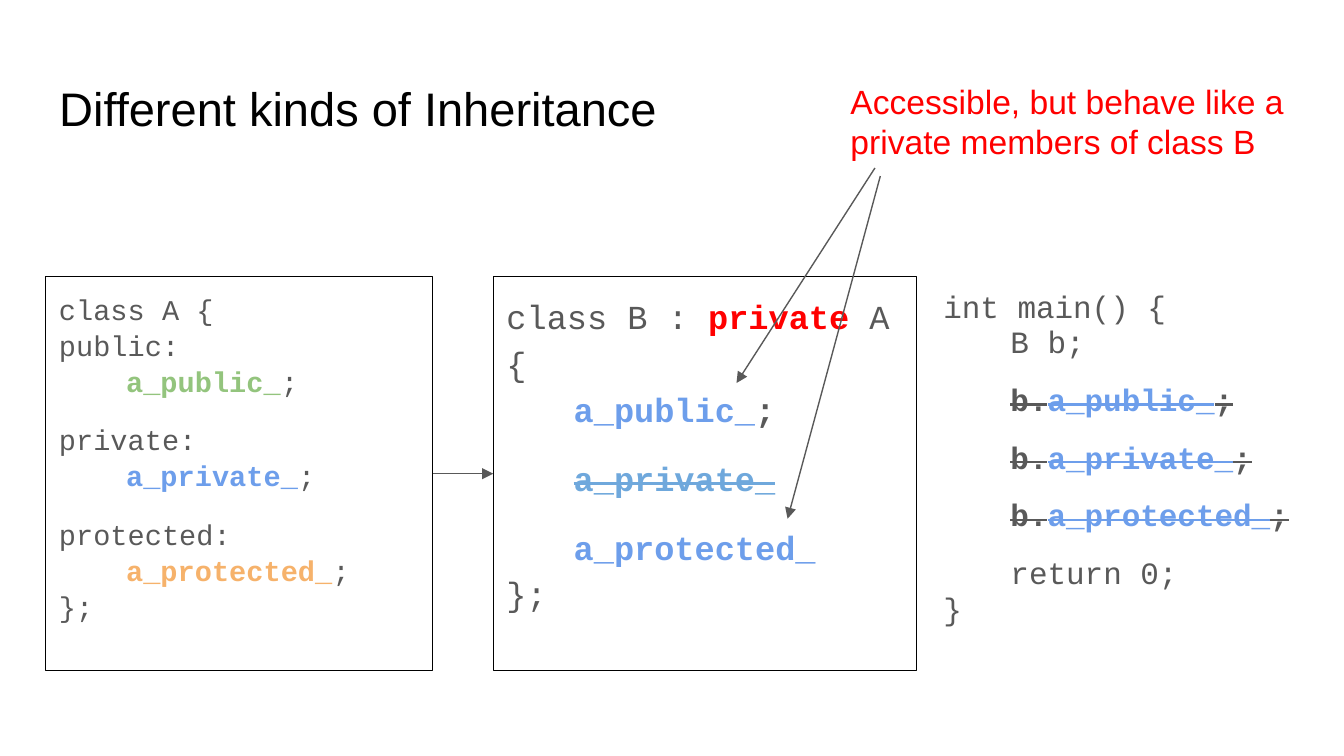
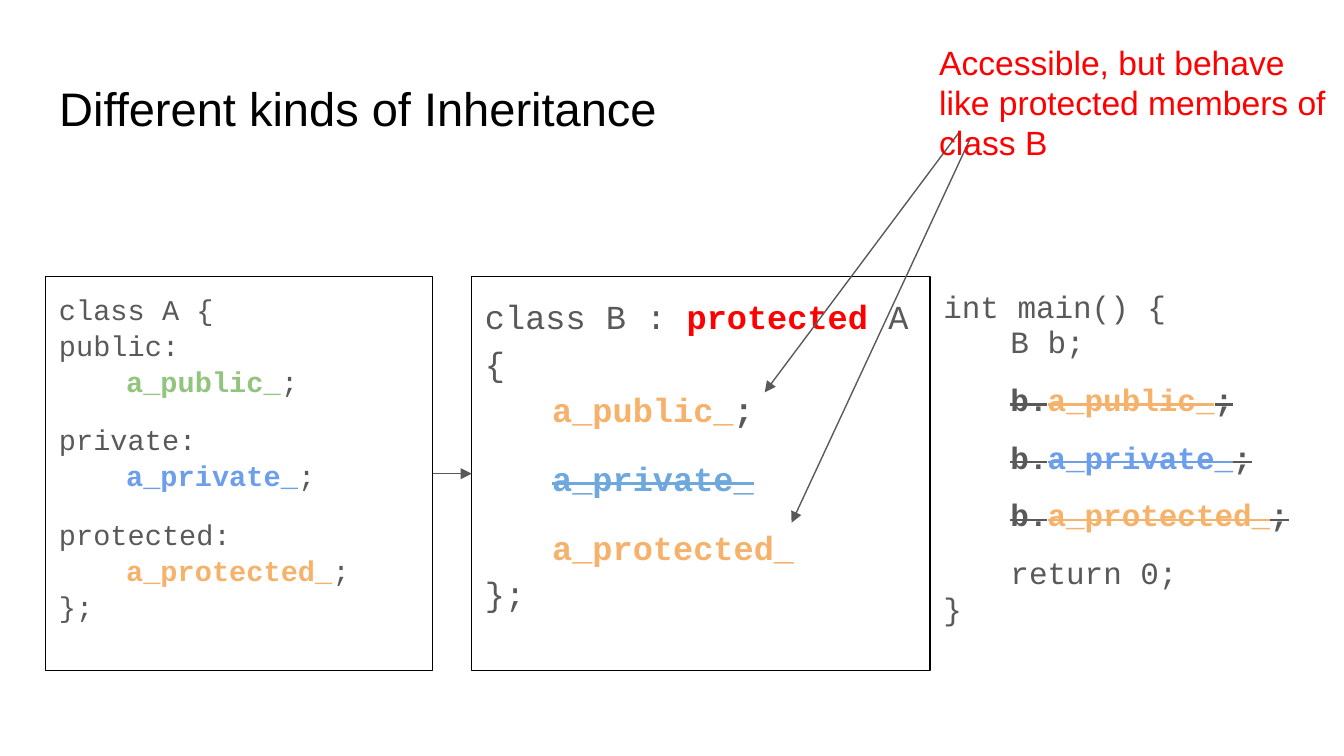
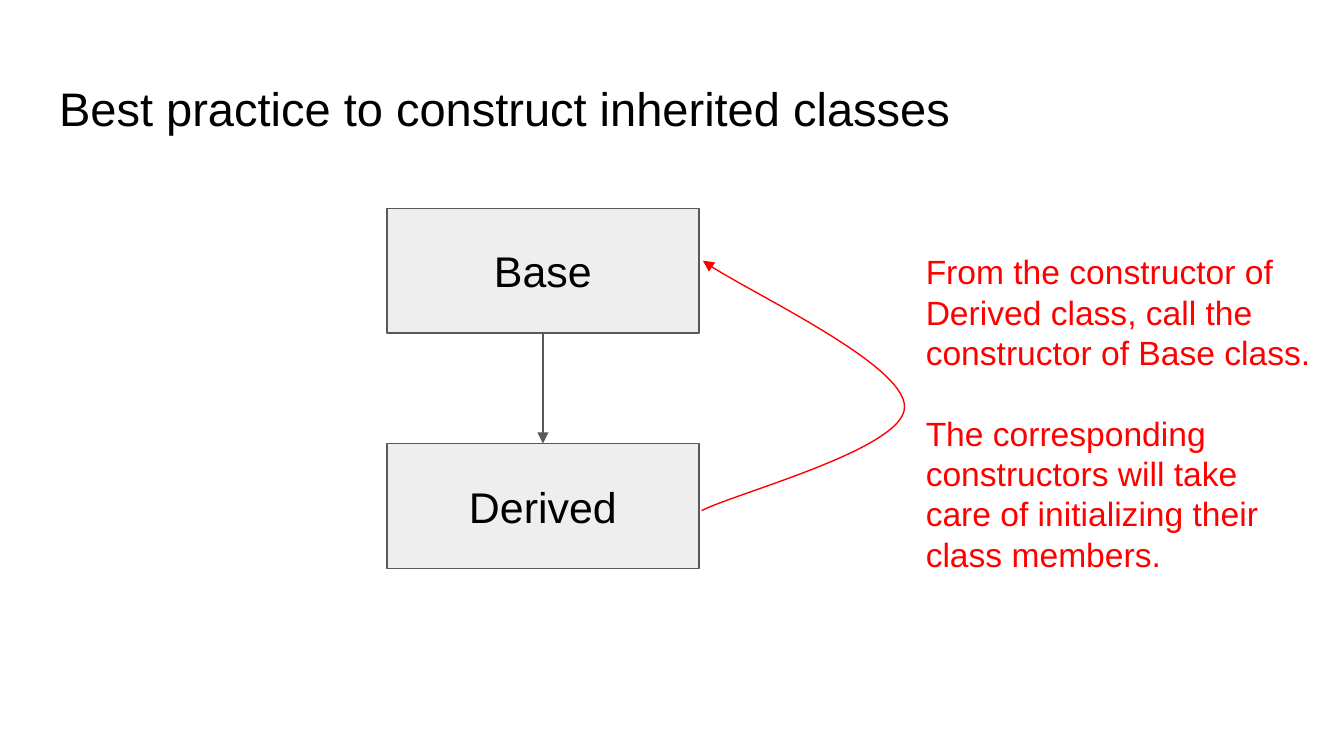
from copy import deepcopy
from dataclasses import dataclass
from typing import NamedTuple

from lxml.etree import SubElement
from pptx import Presentation
from pptx.dml.color import RGBColor
from pptx.enum.shapes import MSO_CONNECTOR, MSO_SHAPE
from pptx.enum.text import MSO_ANCHOR, MSO_AUTO_SIZE, PP_ALIGN
from pptx.oxml.ns import qn
from pptx.util import Inches, Pt

CELL = Inches(0.1)
COLUMNS, ROWS = 100, 56.25
INSET = CELL
HAIRLINE = Pt(0.75)
SANS, MONO = "Arial", "Courier New"

BLACK = RGBColor(0x00, 0x00, 0x00)
GRAY = RGBColor(0x59, 0x59, 0x59)
PALE = RGBColor(0xEE, 0xEE, 0xEE)
RED = RGBColor(0xFF, 0x00, 0x00)
GREEN = RGBColor(0x93, 0xC4, 0x7D)
BLUE = RGBColor(0x6D, 0x9E, 0xEB)
SKY = RGBColor(0x6F, 0xA8, 0xDC)
ORANGE = RGBColor(0xF6, 0xB2, 0x6B)


class Spot(NamedTuple):
    column: float
    row: float

    def emu(self) -> tuple[int, int]:
        return cells(self.column), cells(self.row)


class Area(NamedTuple):
    column: float
    row: float
    columns: float
    rows: float

    def emu(self) -> list[int]:
        return [cells(count) for count in self]


class Span(NamedTuple):
    text: str
    color: RGBColor = GRAY
    bold: bool = False
    struck: bool = False


@dataclass(frozen=True)
class Para:
    spans: list[Span]
    before: float = 0
    after: float = 0
    indent: float = 0


@dataclass(frozen=True)
class Style:
    font: str
    size: float
    spacing: float | None = None
    align: PP_ALIGN = PP_ALIGN.LEFT


@dataclass(frozen=True)
class Inheritance:
    keyword: str
    color: RGBColor
    derived: Area
    note: str
    note_area: Area
    arrows: list[tuple[Spot, Spot]]


TITLE = Style(SANS, 25.2)
NOTE = Style(SANS, 18)
NODE = Style(SANS, 23, align=PP_ALIGN.CENTER)
BASE_CODE = Style(MONO, 15.3, 1.05)
DERIVED_CODE = Style(MONO, 18, 1.15)
MAIN_CODE = Style(MONO, 16.6, 0.95)

TITLE_AREA = Area(3.4, 4.9, 93.2, 6.3)
CODE_TOP, CODE_ROWS = 20.6, 29.3
BASE_AREA = Area(3.4, CODE_TOP, 28.8, CODE_ROWS)
MAIN_AREA = Area(69.2, CODE_TOP, 28.8, CODE_ROWS)
PARA_GAP, TAB_INDENT, NOTE_GAP = 12, 5, 21.6

KINDS = [
    Inheritance(
        "private", BLUE, Area(36.7, CODE_TOP, 31.5, CODE_ROWS),
        "Accessible, but behave like a private members of class B",
        Area(62.3, 5, 38, 8.1),
        [(Spot(65.1, 12.5), Spot(54.8, 28.5)), (Spot(65.5, 13.1), Spot(58.6, 38.6))],
    ),
    Inheritance(
        "protected", ORANGE, Area(35.1, CODE_TOP, 34.1, CODE_ROWS),
        "Accessible, but behave like protected members of class B",
        Area(68.9, 2.1, 31.3, 11.1),
        [(Spot(71.4, 9.8), Spot(56.9, 29.2)), (Spot(72.2, 10.3), Spot(58.9, 38.9))],
    ),
]


def cells(count: float) -> int:
    """Turn a count of grid cells into a length."""
    return round(count * CELL)


def write(box, paras: list[Para], style: Style, anchor=MSO_ANCHOR.TOP, fit=MSO_AUTO_SIZE.NONE) -> None:
    """Fill a box with styled paragraphs, run by run."""
    frame = box.text_frame
    frame.word_wrap = True
    frame.auto_size = fit
    frame.vertical_anchor = anchor
    frame.margin_left = frame.margin_right = frame.margin_top = frame.margin_bottom = INSET
    for index, item in enumerate(paras):
        para = frame.add_paragraph() if index else frame.paragraphs[0]
        para.alignment = style.align
        para.space_before, para.space_after = Pt(item.before), Pt(item.after)
        if style.spacing:
            para.line_spacing = style.spacing
        if item.indent:
            properties = para._p.get_or_add_pPr()
            properties.set("marL", "0")
            properties.set("indent", str(cells(item.indent)))
        for span in item.spans:
            add_span(para, span, style)
        for line_break in para._p.findall(qn("a:br")):
            line_break.append(deepcopy(para.runs[0]._r.rPr))


def add_span(para, span: Span, style: Style) -> None:
    """Append a span, turning its newlines into line breaks."""
    for index, piece in enumerate(span.text.split("\n")):
        if index:
            para.add_line_break()
        if not piece:
            continue
        run = para.add_run()
        run.text = piece
        run.font.name, run.font.size = style.font, Pt(style.size)
        run.font.bold = span.bold
        run.font.color.rgb = span.color
        if span.struck:
            run._r.get_or_add_rPr().set("strike", "sngStrike")


def add_page(deck, title: str):
    """Add a title-only page and place its title."""
    page = deck.slides.add_slide(deck.slide_layouts[5])
    box = page.shapes.title
    box.left, box.top, box.width, box.height = TITLE_AREA.emu()
    write(box, [Para([Span(title, BLACK)])], TITLE)
    return page


def add_frame(page, area: Area, color: RGBColor, fill: RGBColor | None = None):
    """Draw an outlined rectangle."""
    box = page.shapes.add_shape(MSO_SHAPE.RECTANGLE, *area.emu())
    box.shadow.inherit = False
    if fill is None:
        box.fill.background()
    else:
        box.fill.solid()
        box.fill.fore_color.rgb = fill
    box.line.color.rgb, box.line.width = color, HAIRLINE
    return box


def add_note(page, area: Area, texts: list[str]) -> None:
    """Add a red remark, one paragraph per text."""
    paras = [Para([Span(text, RED)], before=NOTE_GAP if index else 0) for index, text in enumerate(texts)]
    write(page.shapes.add_textbox(*area.emu()), paras, NOTE, fit=MSO_AUTO_SIZE.SHAPE_TO_FIT_TEXT)


def point_line(line_shape, color: RGBColor) -> None:
    """Give a line its colour, width and arrowhead."""
    line_shape.line.color.rgb, line_shape.line.width = color, HAIRLINE
    outline = line_shape._element.spPr.find(qn("a:ln"))
    SubElement(outline, qn("a:tailEnd"), type="triangle")


def add_arrow(page, start: Spot, end: Spot) -> None:
    """Draw a straight gray arrow."""
    arrow = page.shapes.add_connector(MSO_CONNECTOR.STRAIGHT, *start.emu(), *end.emu())
    point_line(arrow, GRAY)
    SubElement(arrow._element.spPr, qn("a:effectLst"))


def add_curve(page, start: Spot, spots: list[Spot]) -> None:
    """Draw a red arrow of cubic curves, three spots to each."""
    builder = page.shapes.build_freeform(*start.emu())
    builder.add_line_segments([spot.emu() for spot in spots], close=False)
    curve = builder.convert_to_shape()
    curve.shadow.inherit = False
    curve.fill.background()
    point_line(curve, RED)
    segments = list(curve._element.iter(qn("a:lnTo")))
    outline = segments[0].getparent()
    for first in range(0, len(segments), 3):
        cubic = SubElement(outline, qn("a:cubicBezTo"))
        for segment in segments[first:first + 3]:
            cubic.append(segment[0])
            outline.remove(segment)


def base_code() -> list[Para]:
    """List class A with its three kinds of members."""
    members = [("class A {\npublic", "public", GREEN), ("private", "private", BLUE), ("protected", "protected", ORANGE)]
    last = len(members) - 1
    return [
        Para(
            [Span(f"{label}:\n\t"), Span(f"a_{access}_", color, True), Span(";\n};" if index == last else ";")],
            before=PARA_GAP if index else 0,
            after=PARA_GAP if index == last else 0,
        )
        for index, (label, access, color) in enumerate(members)
    ]


def derived_code(kind: Inheritance) -> list[Para]:
    """List class B with the members it inherits."""
    return [
        Para([
            Span("class B : "), Span(kind.keyword, RED, True), Span(" A {\n\t"),
            Span("a_public_", kind.color, True), Span(";", bold=True),
        ]),
        Para([Span("a_private_", SKY, True, True)], PARA_GAP, indent=TAB_INDENT),
        Para([Span("a_protected_", kind.color, True), Span("\n};")], PARA_GAP, PARA_GAP, TAB_INDENT),
    ]


def main_code(kind: Inheritance) -> list[Para]:
    """List the main function with its forbidden accesses."""
    members = {"public": kind.color, "private": BLUE, "protected": kind.color}
    accesses = [
        Para(
            [Span("b.", GRAY, True, True), Span(f"a_{access}_", color, True, True), Span(";", GRAY, True, True)],
            PARA_GAP, indent=TAB_INDENT,
        )
        for access, color in members.items()
    ]
    closing = Para([Span("return 0;\n}")], PARA_GAP, PARA_GAP, TAB_INDENT)
    return [Para([Span("int main() {\n\tB b;")]), *accesses, closing]


def add_inheritance_page(deck, kind: Inheritance) -> None:
    """Show how one kind of inheritance changes access."""
    page = add_page(deck, "Different kinds of Inheritance")
    write(add_frame(page, BASE_AREA, BLACK), base_code(), BASE_CODE)
    write(add_frame(page, kind.derived, BLACK), derived_code(kind), DERIVED_CODE)
    middle = CODE_TOP + CODE_ROWS / 2
    add_arrow(page, Spot(BASE_AREA.column + BASE_AREA.columns, middle), Spot(kind.derived.column, middle))
    write(page.shapes.add_textbox(*MAIN_AREA.emu()), main_code(kind), MAIN_CODE)
    for start, end in kind.arrows:
        add_arrow(page, start, end)
    add_note(page, kind.note_area, [kind.note])


def add_constructor_page(deck) -> None:
    """Show the derived class calling the base constructor."""
    page = add_page(deck, "Best practice to construct inherited classes")
    base, derived = (Area(28.8, row, 23.2, 9.3) for row in (15.5, 33))
    for name, area in (("Base", base), ("Derived", derived)):
        write(add_frame(page, area, GRAY, PALE), [Para([Span(name, BLACK)])], NODE, MSO_ANCHOR.MIDDLE)
    center = base.column + base.columns / 2
    add_arrow(page, Spot(center, base.row + base.rows), Spot(center, derived.row))
    add_curve(page, Spot(52.2, 38), [
        Spot(54.7, 36.7), Spot(67.3, 33.4), Spot(67.3, 30.3),
        Spot(67.4, 27.2), Spot(54.8, 21.3), Spot(52.3, 19.4),
    ])
    add_note(page, Area(67.9, 17.7, 30.7, 26.3), [
        "From the constructor of Derived class, call the constructor of Base class.",
        "The corresponding constructors will take care of initializing their class members.",
    ])


def main() -> None:
    """Build and save the deck."""
    deck = Presentation()
    deck.slide_width, deck.slide_height = cells(COLUMNS), cells(ROWS)
    for kind in KINDS:
        add_inheritance_page(deck, kind)
    add_constructor_page(deck)
    deck.save("out.pptx")


if __name__ == "__main__":
    main()
